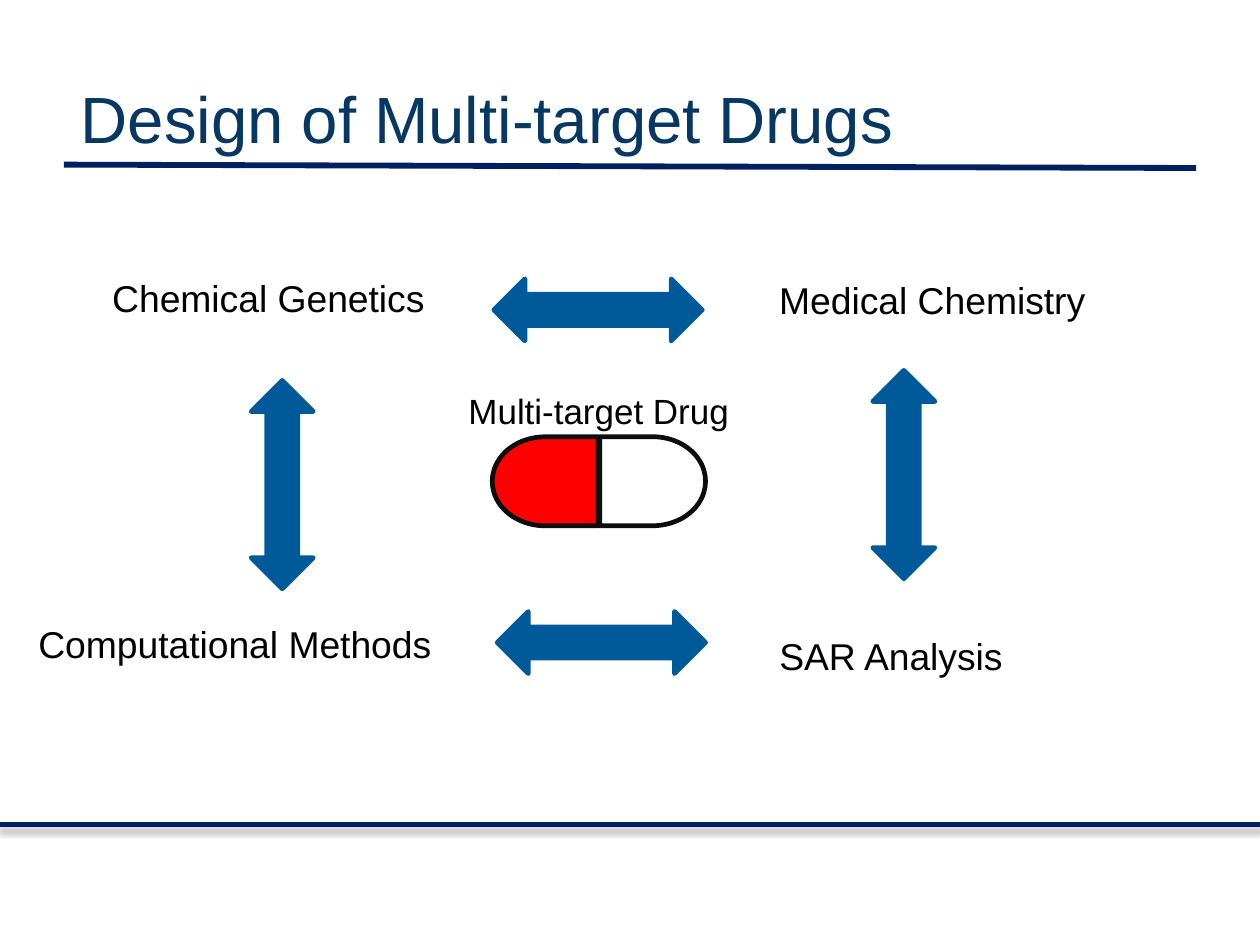
"""Build the slide on the design of multi-target drugs."""
from dataclasses import dataclass

from lxml.etree import SubElement
from pptx import Presentation
from pptx.dml.color import RGBColor
from pptx.enum.shapes import MSO_CONNECTOR as Connector, MSO_SHAPE as Preset
from pptx.enum.text import MSO_ANCHOR as Anchor, MSO_AUTO_SIZE as AutoSize, PP_ALIGN as Align
from pptx.oxml.ns import qn
from pptx.slide import Slide
from pptx.text.text import TextFrame
from pptx.util import Inches, Pt

SLIDE_WIDTH = 7.5
SLIDE_HEIGHT = SLIDE_WIDTH * 3 / 4
NAVY, BLUE, TITLE_BLUE = "002060", "005A9A", "073763"
BLACK, OUTLINE, RED, WHITE = "000000", "0D0D0D", "FF0000", "FFFFFF"
ARROW_SIZE = (1.24, 0.37)
CAPSULE_HALF_SIZE = (0.63, 0.53)


@dataclass(frozen=True)
class Label:
    text: str
    left: float
    top: float
    width: float
    height: float = 0.37
    size: float = 16


@dataclass(frozen=True)
class Figure:
    preset: Preset
    left: float
    top: float
    size: tuple[float, float]
    fill: str
    outline: str
    rotation: float = 0


@dataclass(frozen=True)
class Rule:
    start: tuple[float, float]
    end: tuple[float, float]
    weight: float
    shadow: bool = False


RULES = [
    Rule((0, 4.91), (SLIDE_WIDTH, 4.91), 2, shadow=True),
    Rule((0.38, 0.98), (7.12, 1), 2.5),
]
LABELS = [
    Label("Multi-target Drug", 2.69, 2.27, 1.75, 0.35, 15),
    Label("Chemical Genetics", 0.57, 1.59, 2.13),
    Label("Computational Methods", 0.13, 3.65, 2.57),
    Label("SAR Analysis", 4.54, 3.72, 1.55),
    Label("Medical Chemistry", 4.54, 1.6, 2.06),
]
CAPSULE = [
    Figure(Preset.FLOWCHART_DELAY, left, 2.6, CAPSULE_HALF_SIZE, fill, OUTLINE, rotation)
    for left, fill, rotation in [(3.57, WHITE, 0), (2.93, RED, 180)]
]
ARROWS = [
    Figure(Preset.LEFT_RIGHT_ARROW, left, top, ARROW_SIZE, BLUE, BLUE, rotation)
    for left, top, rotation in [(2.96, 3.64, 0), (2.94, 1.66, 0), (4.76, 2.64, 90), (1.06, 2.7, 90)]
]


def color(value: str) -> RGBColor:
    """Turn a hex string into a colour."""
    return RGBColor.from_string(value)


def write_text(frame: TextFrame, text: str, size: float, ink: str, anchor: Anchor) -> None:
    """Fill a text frame with one left-aligned paragraph."""
    frame_format = {"word_wrap": True, "auto_size": AutoSize.NONE, "vertical_anchor": anchor}
    for name, value in frame_format.items():
        setattr(frame, name, value)
    paragraph = frame.paragraphs[0]
    paragraph.alignment = Align.LEFT
    run = paragraph.add_run()
    run.text = text
    for name, value in {"name": "Arial", "size": Pt(size)}.items():
        setattr(run.font, name, value)
    run.font.color.rgb = color(ink)


def add_title(slide: Slide, text: str) -> None:
    """Place and format the title placeholder."""
    title = slide.shapes.title
    place = {"left": 0.38, "top": 0.23, "width": 6.75, "height": 0.94}
    for name, value in place.items():
        setattr(title, name, Inches(value))
    for side in ("left", "top", "right", "bottom"):
        setattr(title.text_frame, f"margin_{side}", Inches(0.1))
    write_text(title.text_frame, text, 28, TITLE_BLUE, Anchor.MIDDLE)


def add_rule(slide: Slide, rule: Rule) -> None:
    """Draw a navy line, with a soft shadow below if asked for."""
    points = [Inches(value) for value in (*rule.start, *rule.end)]
    connector = slide.shapes.add_connector(Connector.STRAIGHT, *points)
    connector.line.color.rgb = color(NAVY)
    connector.line.width = Pt(rule.weight)
    effects = SubElement(connector._element.spPr, qn("a:effectLst"))
    if rule.shadow:
        shadow = SubElement(effects, qn("a:outerShdw"), blurRad=str(Pt(3.1)),
                            dist=str(Pt(1.6)), dir="5400000", rotWithShape="0")
        shade = SubElement(shadow, qn("a:srgbClr"), val=BLACK)
        SubElement(shade, qn("a:alpha"), val="38000")


def add_label(slide: Slide, label: Label) -> None:
    """Add a black text label."""
    place = [Inches(value) for value in (label.left, label.top, label.width, label.height)]
    box = slide.shapes.add_textbox(*place)
    write_text(box.text_frame, label.text, label.size, BLACK, Anchor.TOP)


def add_figure(slide: Slide, figure: Figure) -> None:
    """Add a filled and outlined preset shape."""
    place = [Inches(value) for value in (figure.left, figure.top, *figure.size)]
    shape = slide.shapes.add_shape(figure.preset, *place)
    shape.rotation = figure.rotation
    shape.shadow.inherit = False
    shape.fill.solid()
    shape.fill.fore_color.rgb = color(figure.fill)
    shape.line.color.rgb = color(figure.outline)
    shape.line.width = Pt(2)


def main() -> None:
    """Build and save the presentation."""
    presentation = Presentation()
    presentation.slide_width = Inches(SLIDE_WIDTH)
    presentation.slide_height = Inches(SLIDE_HEIGHT)
    slide = presentation.slides.add_slide(presentation.slide_layouts.get_by_name("Title Only"))
    add_title(slide, "Design of Multi-target Drugs")
    for rule in RULES:
        add_rule(slide, rule)
    for label in LABELS:
        add_label(slide, label)
    for figure in CAPSULE + ARROWS:
        add_figure(slide, figure)
    presentation.save("out.pptx")


if __name__ == "__main__":
    main()
